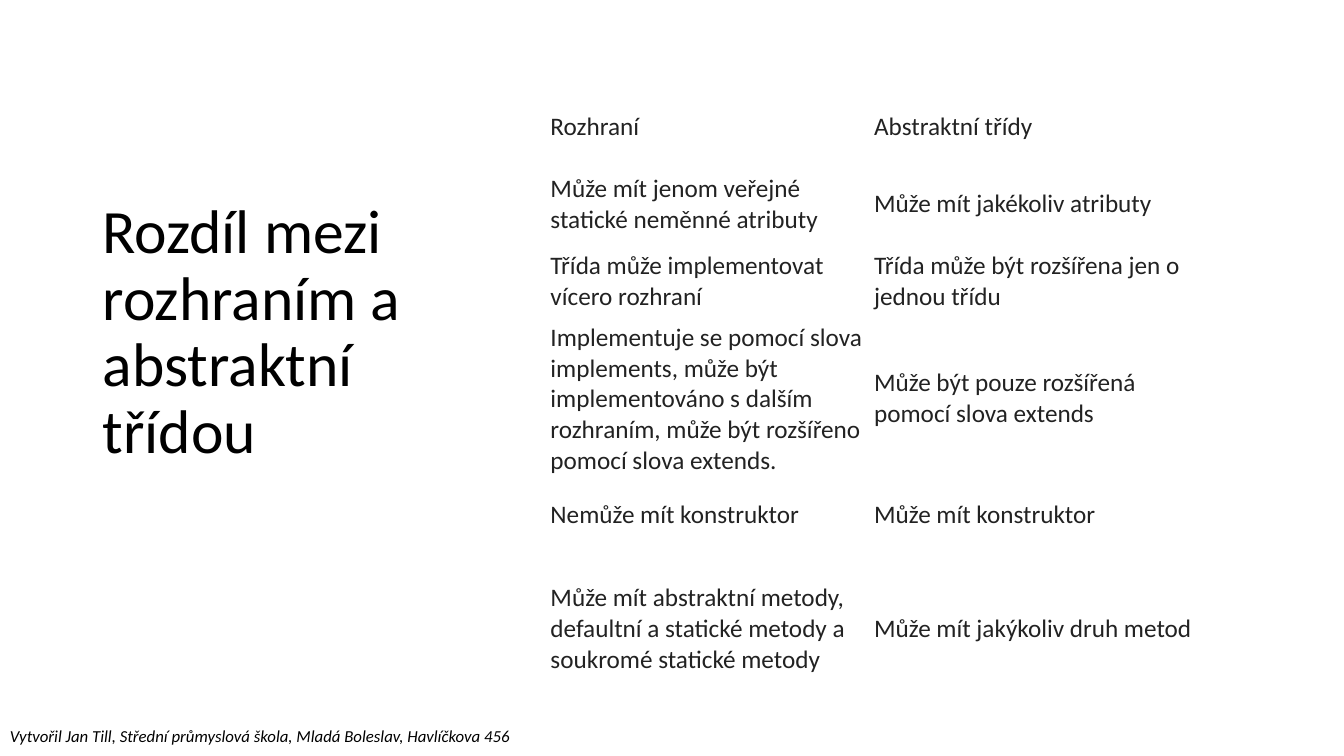
from dataclasses import dataclass

from pptx import Presentation
from pptx.dml.color import RGBColor
from pptx.enum.text import MSO_ANCHOR, MSO_AUTO_SIZE
from pptx.slide import Slide
from pptx.text.text import TextFrame
from pptx.util import Emu, Inches, Pt

MIDDLE, TOP = MSO_ANCHOR.MIDDLE, MSO_ANCHOR.TOP
GROW = MSO_AUTO_SIZE.SHAPE_TO_FIT_TEXT
FONT = "Calibri"
COLORS = {"paper": "FFFFFF", "ink": "000000", "cell": "222222"}
SLIDE_W, SLIDE_H = Inches(13.33), Inches(7.5)
CELL_INSET = Inches(0.02)


@dataclass(frozen=True)
class Area:
    """Left, top, width and height as shares of the slide's size."""
    left: float
    top: float
    width: float
    height: float

    def box(self) -> tuple[Emu, Emu, Emu, Emu]:
        return (Emu(round(self.left * SLIDE_W)), Emu(round(self.top * SLIDE_H)),
                Emu(round(self.width * SLIDE_W)), Emu(round(self.height * SLIDE_H)))


@dataclass(frozen=True)
class Style:
    size: int
    color: str
    italic: bool = False


@dataclass(frozen=True)
class Label:
    text: str
    area: Area
    style: Style
    anchor: MSO_ANCHOR
    wrap: bool
    line_spacing: float = 1.0


@dataclass(frozen=True)
class Difference:
    interface: str
    abstract_class: str
    height: float = 0.77  # inches


CELL_STYLE = Style(18, "cell")
COMPARISON_AREA = Area(5.44 / 13.33, 0.87 / 7.5, 6.42 / 13.33, 5.98 / 7.5)

LABELS = [
    Label("Rozdíl mezi rozhraním a abstraktní třídou",
          Area(0.92 / 13.33, 0.4 / 7.5, 3.37 / 13.33, 5.82 / 7.5),
          Style(44, "ink"), MIDDLE, True, 0.9),
    Label("Vytvořil Jan Till, Střední průmyslová škola, Mladá Boleslav, Havlíčkova 456",
          Area(0, 7.15 / 7.5, 5.21 / 13.33, 0.3 / 7.5),
          Style(12, "ink", italic=True), TOP, False),
]

DIFFERENCES = [
    Difference("Rozhraní", "Abstraktní třídy"),
    Difference("Může mít jenom veřejné statické neměnné atributy",
               "Může mít jakékoliv atributy"),
    Difference("Třída může implementovat vícero rozhraní",
               "Třída může být rozšířena jen o jednou třídu"),
    Difference("Implementuje se pomocí slova implements, může být implementováno "
               "s dalším rozhraním, může být rozšířeno pomocí slova extends.",
               "Může být pouze rozšířená pomocí slova extends", 1.4),
    Difference("Nemůže mít konstruktor", "Může mít konstruktor"),
    Difference("Může mít abstraktní metody, defaultní a statické metody "
               "a soukromé statické metody",
               "Může mít jakýkoliv druh metod", 1.5),
]


def write(frame: TextFrame, text: str, style: Style) -> None:
    run = frame.paragraphs[0].add_run()
    run.text = text
    run.font.name = FONT
    run.font.size = Pt(style.size)
    run.font.italic = style.italic
    run.font.color.rgb = RGBColor.from_string(COLORS[style.color])


def draw_label(slide: Slide, label: Label) -> None:
    frame = slide.shapes.add_textbox(*label.area.box()).text_frame
    frame.word_wrap = label.wrap
    frame.vertical_anchor = label.anchor
    if not label.wrap:
        frame.auto_size = GROW
    frame.paragraphs[0].line_spacing = label.line_spacing
    write(frame, label.text, label.style)


def draw_comparison(slide: Slide, differences: list[Difference], area: Area) -> None:
    comparison = slide.shapes.add_table(len(differences), 2, *area.box()).table
    comparison.first_row = False
    comparison.horz_banding = False
    for row, difference in zip(comparison.rows, differences):
        row.height = Inches(difference.height)
        for cell, text in zip(row.cells, (difference.interface, difference.abstract_class)):
            cell.fill.solid()
            cell.fill.fore_color.rgb = RGBColor.from_string(COLORS["paper"])
            cell.vertical_anchor = MIDDLE
            cell.margin_left = cell.margin_right = CELL_INSET
            cell.margin_top = cell.margin_bottom = CELL_INSET
            write(cell.text_frame, text, CELL_STYLE)


def main() -> None:
    deck = Presentation()
    deck.slide_width, deck.slide_height = SLIDE_W, SLIDE_H
    slide = deck.slides.add_slide(deck.slide_layouts[6])

    # Background
    slide.background.fill.solid()
    slide.background.fill.fore_color.rgb = RGBColor.from_string(COLORS["paper"])

    # Title and author line
    for label in LABELS:
        draw_label(slide, label)

    # Interface against abstract class
    draw_comparison(slide, DIFFERENCES, COMPARISON_AREA)

    deck.save("out.pptx")


if __name__ == "__main__":
    main()
